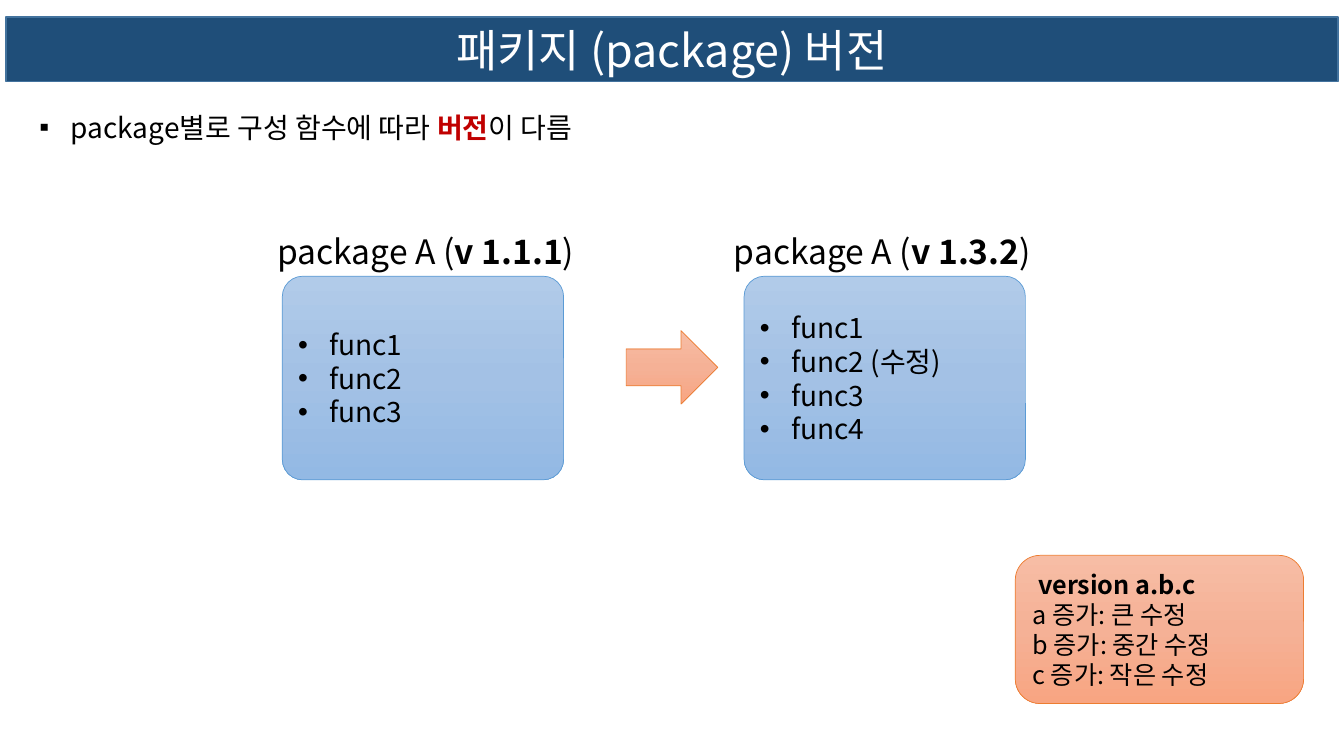
from copy import deepcopy

from lxml import etree
from pptx import Presentation
from pptx.dml.color import RGBColor
from pptx.enum import shapes, text
from pptx.oxml import ns
from pptx.util import Inches, Pt

FONT = "Noto Sans CJK KR"
BLACK = RGBColor(0x00, 0x00, 0x00)
WHITE = RGBColor(0xFF, 0xFF, 0xFF)
RED = RGBColor(0xC0, 0x00, 0x00)
NAVY = RGBColor(0x1F, 0x4E, 0x79)
NAVY_EDGE = RGBColor(0x43, 0x73, 0x9E)
BLUE_EDGE = RGBColor(0x5B, 0x9B, 0xD5)
ORANGE_EDGE = RGBColor(0xED, 0x7D, 0x31)
BLUES = [RGBColor(0xB1, 0xCB, 0xE9), RGBColor(0xA3, 0xC1, 0xE5), RGBColor(0x93, 0xB9, 0xE4)]
ORANGES = [RGBColor(0xF7, 0xBD, 0xA5), RGBColor(0xF5, 0xB1, 0x96), RGBColor(0xF8, 0xA5, 0x82)]

# A paragraph is a list of runs: (wording, bold, colour)
TITLE = [[("패키지 (package) 버전", False, WHITE)]]
SUMMARY = [[("package별로 구성 함수에 따라 ", False, BLACK),
            ("버전", True, RED),
            ("이 다름", False, BLACK)]]
# Version, label left, box left, functions
PACKAGES = [
    ("v 1.1.1", 2.65, 2.8, ["func1", "func2", "func3"]),
    ("v 1.3.2", 7.18, 7.38, ["func1", "func2 (수정)", "func3", "func4"]),
]
VERSION_RULES = [
    [(" version a.b.c", True, BLACK)],
    [("a 증가: 큰 수정", False, BLACK)],
    [("b 증가: 중간 수정", False, BLACK)],
    [("c 증가: 작은 수정", False, BLACK)],
]


def place(shape, left, top, width, height):
    shape.left, shape.top = Inches(left), Inches(top)
    shape.width, shape.height = Inches(width), Inches(height)


def set_bullet(paragraph, symbol):
    properties = paragraph._p.get_or_add_pPr()
    properties.set("marL", str(Inches(0.31)))
    properties.set("indent", str(-Inches(0.31)))
    etree.SubElement(properties, ns.qn("a:buFont")).set("typeface", "Arial")
    etree.SubElement(properties, ns.qn("a:buChar")).set("char", symbol)


def write(shape, paragraphs, size, align=text.PP_ALIGN.LEFT, bullet=None,
          anchor=text.MSO_ANCHOR.MIDDLE, wrap=True, fit=text.MSO_AUTO_SIZE.NONE,
          line_spacing=1.0):
    frame = shape.text_frame
    frame.word_wrap, frame.auto_size, frame.vertical_anchor = wrap, fit, anchor
    for index, runs in enumerate(paragraphs):
        paragraph = frame.add_paragraph() if index else frame.paragraphs[0]
        paragraph.alignment = align
        paragraph.line_spacing = line_spacing
        paragraph.space_before = Pt(0)
        if bullet:
            set_bullet(paragraph, bullet)
        for wording, bold, colour in runs:
            run = paragraph.add_run()
            run.text = wording
            run.font.size, run.font.bold, run.font.name = Pt(size), bold, FONT
            run.font.color.rgb = colour
            east_asian = etree.SubElement(run._r.get_or_add_rPr(), ns.qn("a:ea"))
            east_asian.set("typeface", FONT)


def add_gradient_shape(slide, kind, box, colours, edge):
    """Add a preset shape shaded from top to bottom through three colours."""
    shape = slide.shapes.add_shape(kind, *map(Inches, box))
    shape.shadow.inherit = False
    shape.fill.gradient()
    shape.fill.gradient_angle = 270
    stop_list = shape._element.spPr.find(ns.qn("a:gradFill")).find(ns.qn("a:gsLst"))
    stop_list.insert(1, deepcopy(stop_list[0]))
    for index, (stop, colour) in enumerate(zip(shape.fill.gradient_stops, colours)):
        stop.position = index / 2
        stop.color.rgb = colour
    shape.line.color.rgb = edge
    shape.line.width = Pt(0.5)
    return shape


def add_title(slide):
    title = slide.shapes.title
    place(title, 0.06, 0.17, 13.21, 0.64)
    outline = etree.SubElement(title._element.spPr, ns.qn("a:prstGeom"))
    outline.set("prst", "roundRect")
    etree.SubElement(outline, ns.qn("a:avLst"))
    title.fill.solid()
    title.fill.fore_color.rgb = NAVY
    title.line.color.rgb = NAVY_EDGE
    title.line.width = Pt(1)
    write(title, TITLE, 32, align=text.PP_ALIGN.CENTER)


def add_package(slide, version, label_left, box_left, functions):
    label = slide.shapes.add_textbox(*map(Inches, (label_left, 2.24, 3.19, 0.5)))
    runs = [("package A (", False, BLACK), (version, True, BLACK), (")", False, BLACK)]
    write(label, [runs], 24, anchor=text.MSO_ANCHOR.TOP, wrap=False,
          fit=text.MSO_AUTO_SIZE.SHAPE_TO_FIT_TEXT)
    box = add_gradient_shape(slide, shapes.MSO_SHAPE.ROUNDED_RECTANGLE,
                             (box_left, 2.74, 2.79, 2.02), BLUES, BLUE_EDGE)
    box.adjustments[0] = 0.1
    write(box, [[(name, False, BLACK)] for name in functions], 20, bullet="•")


def main():
    presentation = Presentation()
    presentation.slide_width, presentation.slide_height = Inches(13.33), Inches(7.5)
    slide = presentation.slides.add_slide(presentation.slide_layouts[1])

    add_title(slide)
    summary = slide.placeholders[1]
    place(summary, 0.29, 0.88, 11.91, 0.54)
    write(summary, SUMMARY, 20, bullet="▪", anchor=text.MSO_ANCHOR.TOP,
          fit=text.MSO_AUTO_SIZE.SHAPE_TO_FIT_TEXT, line_spacing=1.5)

    for package in PACKAGES:
        add_package(slide, *package)
    add_gradient_shape(slide, shapes.MSO_SHAPE.RIGHT_ARROW,
                       (6.21, 3.28, 0.91, 0.73), ORANGES, ORANGE_EDGE)
    rules = add_gradient_shape(slide, shapes.MSO_SHAPE.ROUNDED_RECTANGLE,
                               (10.07, 5.51, 2.86, 1.47), ORANGES, ORANGE_EDGE)
    write(rules, VERSION_RULES, 18)

    presentation.save("out.pptx")


if __name__ == "__main__":
    main()
